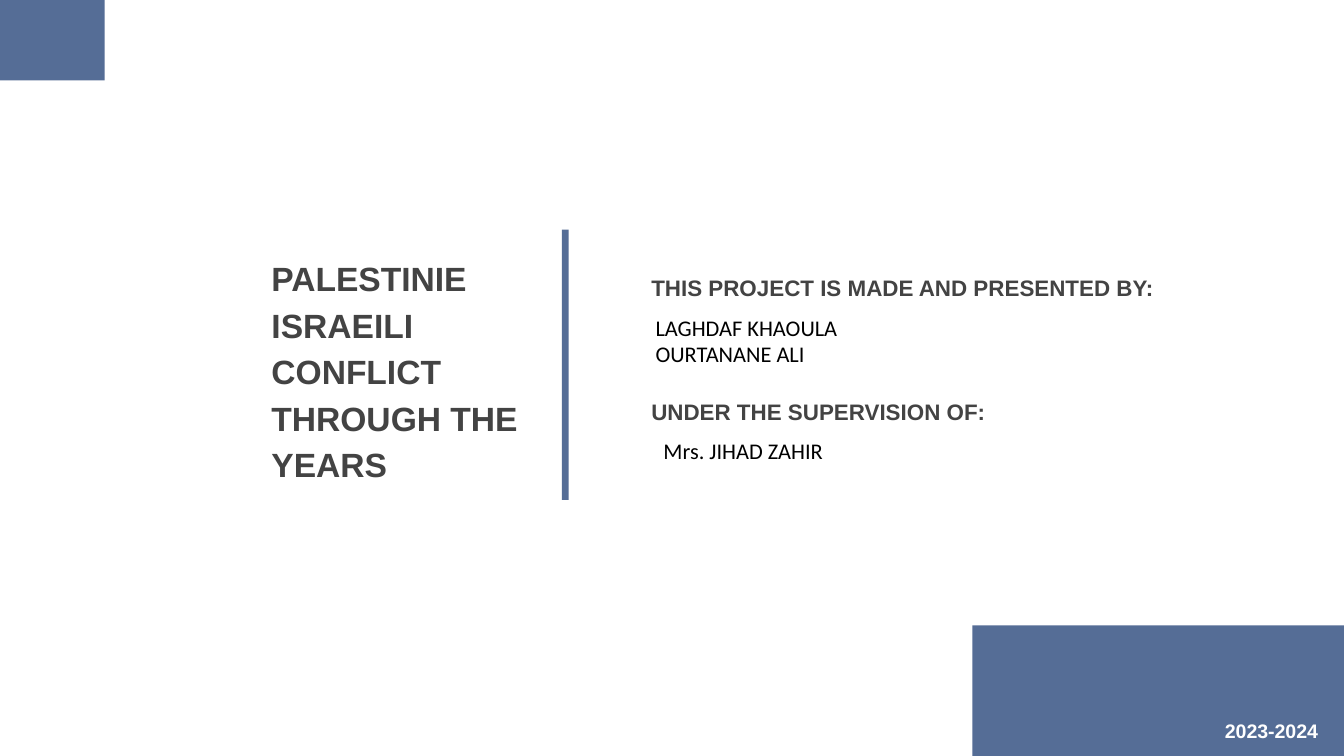
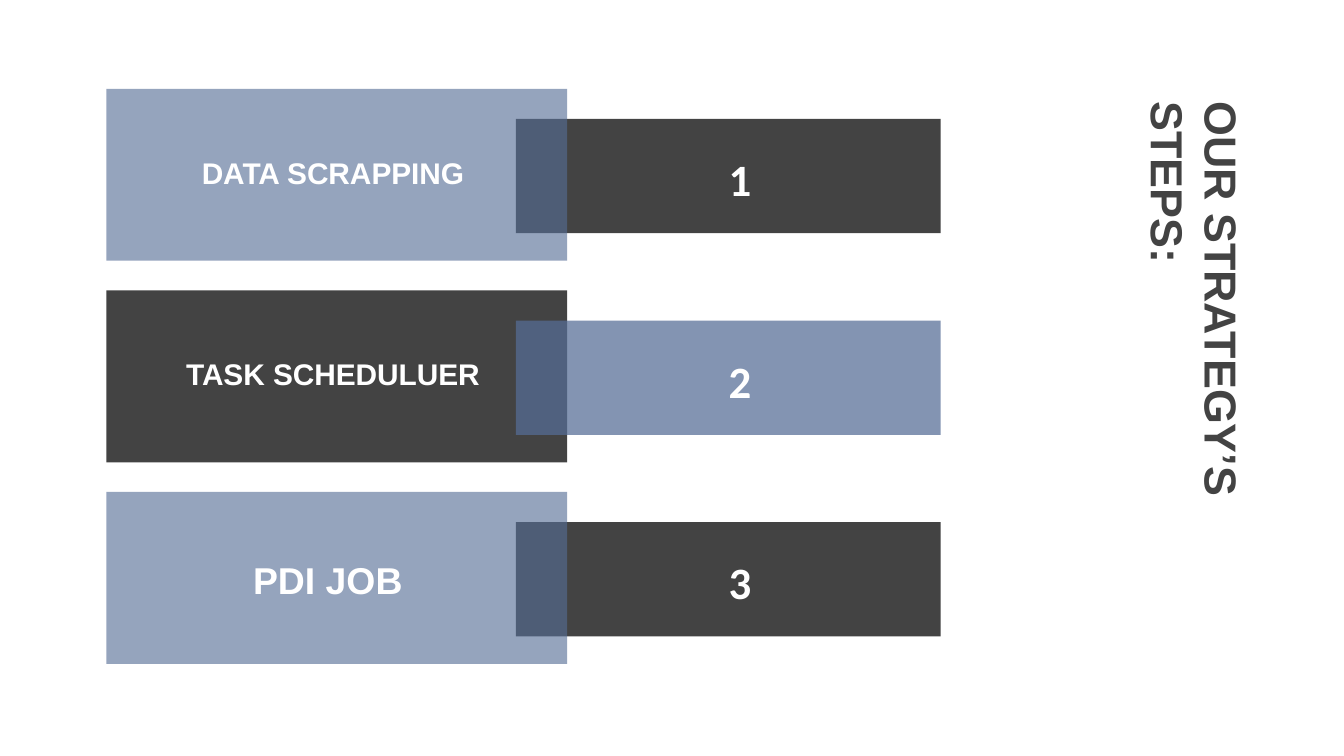
import pptx
import pptx.util
import pptx.dml.color
import pptx.enum.shapes
import pptx.enum.text
import pptx.oxml.ns
import lxml.etree

Cm = pptx.util.Cm
ALIGN = pptx.enum.text.PP_ALIGN
ANCHOR = pptx.enum.text.MSO_ANCHOR

COLORS = {"blue": "556D96", "dark": "434343", "white": "FFFFFF", "black": "000000"}


def rgb(name):
    return pptx.dml.color.RGBColor.from_string(COLORS[name])


def write(shape, text, size=12, font="Arial", color="dark", bold=True,
          align=ALIGN.LEFT, anchor=ANCHOR.TOP, spacing=1.0):
    """Fill a shape with text, one paragraph a line."""
    frame = shape.text_frame
    frame.word_wrap = True
    frame.auto_size = pptx.enum.text.MSO_AUTO_SIZE.NONE
    frame.vertical_anchor = anchor
    frame.margin_left = frame.margin_right = Cm(0.25)
    frame.margin_top = frame.margin_bottom = Cm(0.25)
    frame.text = text
    for paragraph in frame.paragraphs:
        paragraph.alignment = align
        paragraph.line_spacing = spacing
        for run in paragraph.runs:
            run.font.name = font
            run.font.size = pptx.util.Pt(size)
            run.font.bold = bold
            run.font.color.rgb = rgb(color)


class Deck:
    """Holds the presentation, its style and the current slide."""

    def __init__(self):
        self.presentation = pptx.Presentation()
        self.presentation.slide_width = Cm(25.4)
        self.presentation.slide_height = Cm(14.29)
        self.slide = None

    def add_slide(self):
        layout = self.presentation.slide_layouts[5]  # title only
        self.slide = self.presentation.slides.add_slide(layout)

    def title(self, text, left, top, width, height, rotation=0, **style):
        shape = self.slide.shapes.title
        shape.left, shape.top = Cm(left), Cm(top)
        shape.width, shape.height = Cm(width), Cm(height)
        shape.rotation = rotation
        write(shape, text, **style)

    def text(self, text, left, top, width, height, **style):
        shape = self.slide.shapes.add_textbox(Cm(left), Cm(top), Cm(width), Cm(height))
        write(shape, text, **style)

    def block(self, left, top, width, height, color="blue", opacity=100):
        shape = self.slide.shapes.add_shape(
            pptx.enum.shapes.MSO_SHAPE.RECTANGLE, Cm(left), Cm(top), Cm(width), Cm(height))
        shape.shadow.inherit = False
        shape.line.fill.background()
        shape.fill.solid()
        shape.fill.fore_color.rgb = rgb(color)
        if opacity < 100:
            qn = pptx.oxml.ns.qn
            fill_color = shape.fill._xPr.find(qn("a:solidFill")).find(qn("a:srgbClr"))
            alpha = lxml.etree.SubElement(fill_color, qn("a:alpha"))
            alpha.set("val", str(opacity * 1000))


def build_cover(deck):
    deck.add_slide()
    deck.title("PALESTINIE\nISRAEILI CONFLICT THROUGH THE YEARS",
               4.88, 4.52, 5.56, 4.75, size=18, spacing=1.15)

    # Corner blocks and divider
    deck.block(0, 0, 1.98, 1.52)
    deck.block(18.38, 11.82, 7.02, 2.47)
    deck.block(10.62, 4.34, 0.13, 5.11)

    # Credits: heading with names below
    credits = [
        ("THIS PROJECT IS MADE AND PRESENTED BY:", 4.34,
         "LAGHDAF KHAOULA\nOURTANANE ALI", 12.14),
        ("UNDER THE SUPERVISION OF:", 6.68, "Mrs. JIHAD ZAHIR", 12.29),
    ]
    for heading, top, names, names_left in credits:
        deck.text(heading, 12.06, top, 10.13, 1.6, anchor=ANCHOR.BOTTOM)
        deck.text(names, names_left, top + 1.34, 7.98, 1.6,
                  font="Calibri", color="black", bold=False)

    deck.text("2023-2024", 22.66, 13.34, 2.74, 0.95, size=10.5,
              color="white", align=ALIGN.CENTER)


def build_steps(deck):
    deck.add_slide()
    deck.title("OUR STRATEGY’S STEPS:", 17.78, 6.4, 10.82, 1.35, rotation=90, size=24)

    first_top, pitch = 1.68, 3.81
    steps = [("DATA SCRAPPING", 16), ("TASK SCHEDULUER", 16), ("PDI JOB ", 20)]
    for index, (label, size) in enumerate(steps):
        top = first_top + index * pitch
        label_block = (2.01, top, 8.71, 3.25)
        number_block = (9.75, top + 0.57, 8.03, 2.16)

        # The translucent blue block overlaps the dark one; sides alternate
        if index % 2 == 0:
            deck.block(*number_block, color="dark")
            deck.block(*label_block, opacity=62)
        else:
            deck.block(*label_block, color="dark")
            deck.block(*number_block, opacity=73)

        deck.text(label, 2.36, top + 0.99, 7.87, 1.35, size=size,
                  color="white", align=ALIGN.CENTER)
        deck.text(str(index + 1), 11.1, top + 0.94, 5.77, 1.35, size=24,
                  font="Calibri", color="white", align=ALIGN.CENTER)


def main():
    deck = Deck()
    build_cover(deck)
    build_steps(deck)
    deck.presentation.save("out.pptx")


if __name__ == "__main__":
    main()
